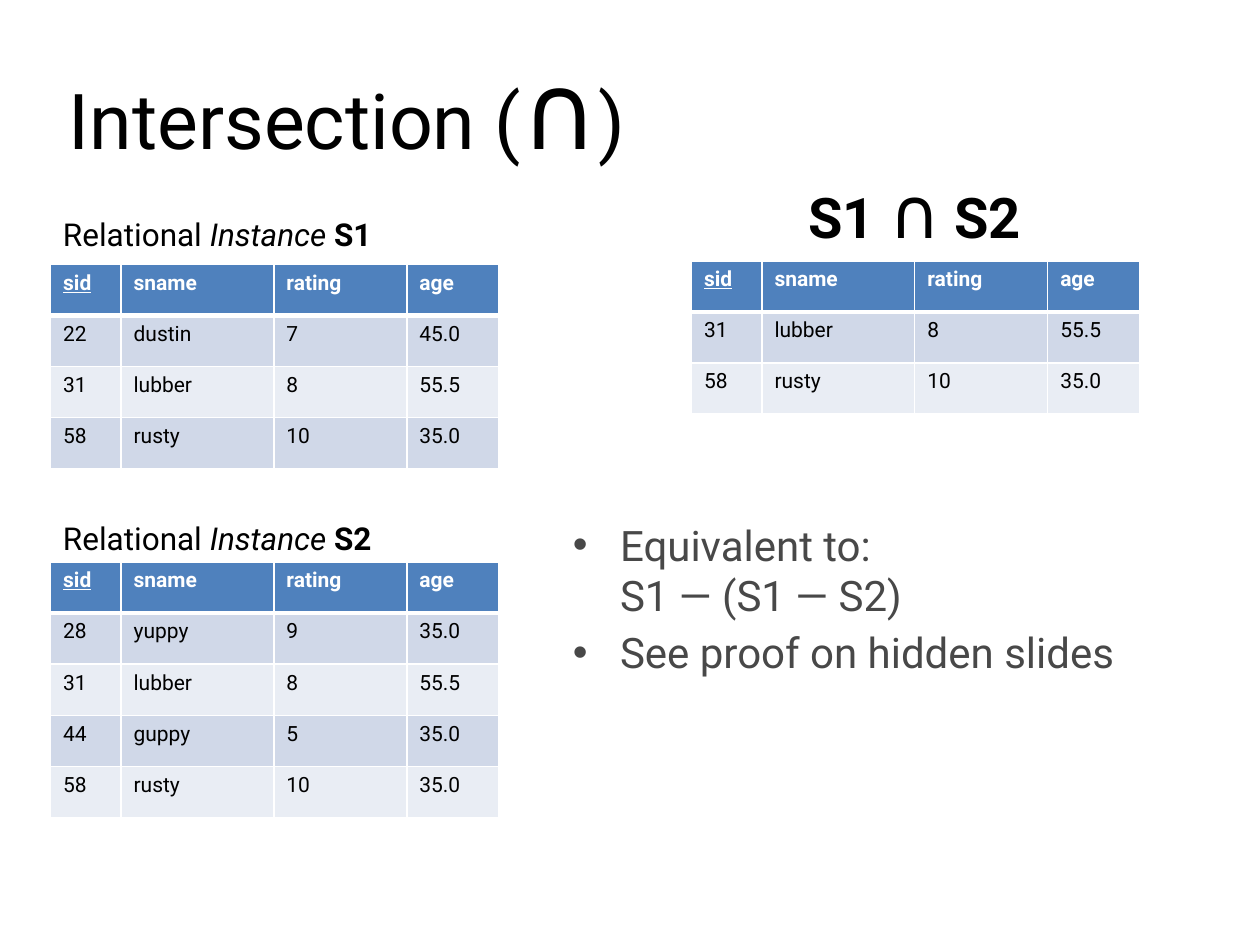
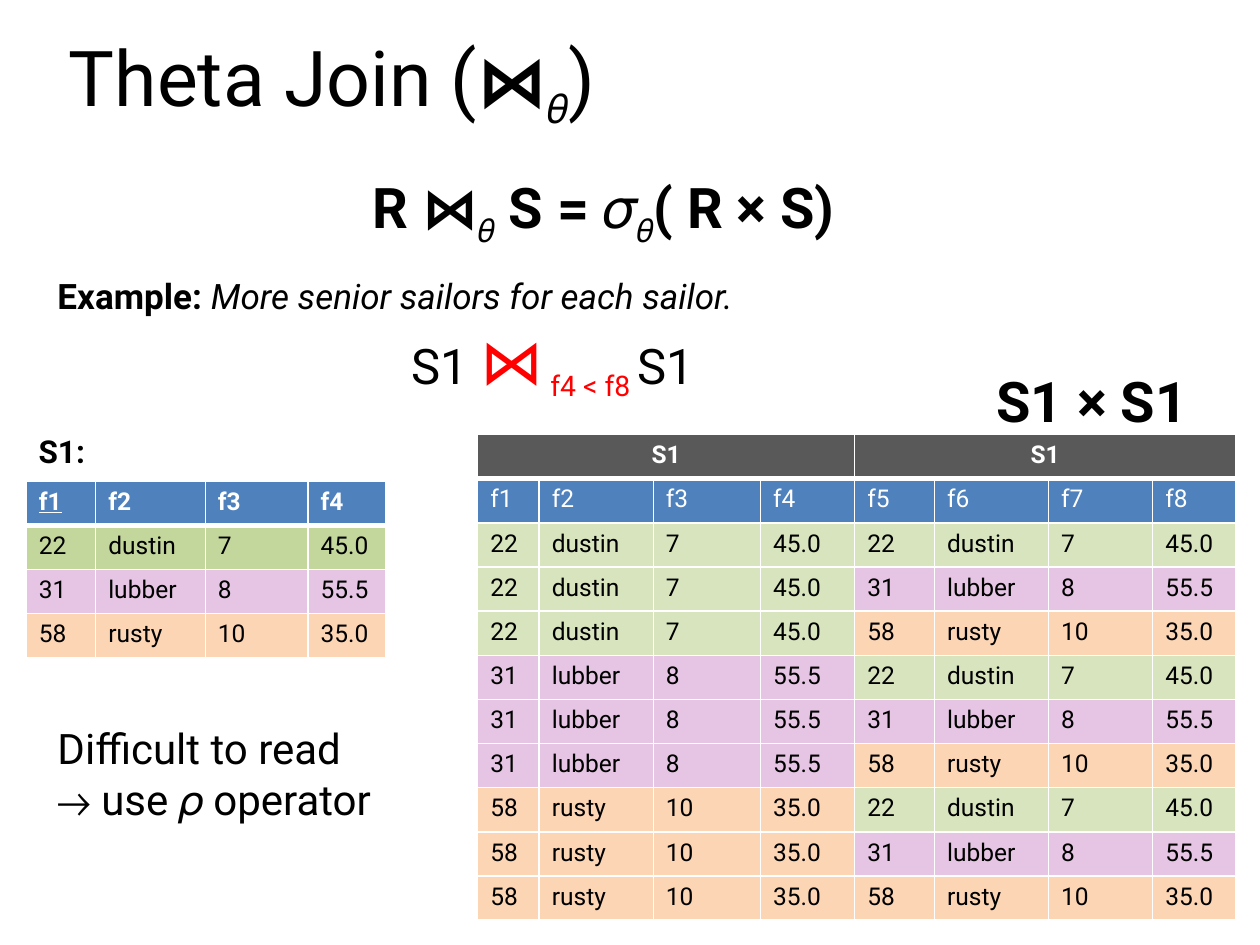
from itertools import product

from lxml import etree
from pptx import Presentation
from pptx.dml.color import RGBColor
from pptx.enum import text
from pptx.oxml import ns
from pptx.util import Cm, Pt

BLACK = RGBColor(0x00, 0x00, 0x00)
WHITE = RGBColor(0xFF, 0xFF, 0xFF)
RED = RGBColor(0xFF, 0x00, 0x00)
BODY_GREY = RGBColor(0x48, 0x48, 0x48)
GROUP_GREY = RGBColor(0x59, 0x59, 0x59)
HEADER_BLUE = RGBColor(0x4F, 0x81, 0xBD)
BANDS = [RGBColor(0xD0, 0xD8, 0xE8), RGBColor(0xE9, 0xED, 0xF4)]
GREEN = RGBColor(0xC3, 0xD6, 0x9B)
LIGHT_GREEN = RGBColor(0xD7, 0xE4, 0xBD)
PURPLE = RGBColor(0xE5, 0xC5, 0xE3)
ORANGE = RGBColor(0xFC, 0xD5, 0xB5)
FONT = "Roboto"

# Relations
FIELDS = ["sid", "sname", "rating", "age"]
DUSTIN = ["22", "dustin", "7", "45.0"]
LUBBER = ["31", "lubber", "8", "55.5"]
RUSTY = ["58", "rusty", "10", "35.0"]
YUPPY = ["28", "yuppy", "9", "35.0"]
GUPPY = ["44", "guppy", "5", "35.0"]
S1 = [DUSTIN, LUBBER, RUSTY]
S2 = [YUPPY, LUBBER, GUPPY, RUSTY]
S1_AND_S2 = [row for row in S1 if row in S2]

# Column widths in cm
RELATION_COLUMNS = [1.42, 3.08, 2.68, 1.86]
SAILOR_COLUMNS = [1.4, 2.21, 2.07, 1.57]
PRODUCT_COLUMNS = [1.24, 2.3, 2.16, 1.9, 1.61, 2.3, 2.1, 1.67]

# Run formats
BOLD = {"bold": True}
ITALIC = {"italic": True}
SUB = {"baseline": -25}
KEY = {"bold": True, "underline": True}
TITLE = {"size": 44}
CAPTION = {"size": 18}
FORMULA = {"size": 32, "bold": True}

# Each slide: title (box, runs), relation tables, text boxes.
# A text box is (box in cm, wraps, base format, runs).
INTERSECTION_TITLE = ((1.14, 0.13, 13.23, 4.09),
                      [("Intersection (", {}), ("∩", {"size": 60}), (")", {})])
RELATION_TABLES = [((1.02, 11.33), S2), ((1.02, 5.33), S1),
                   ((13.94, 5.26), S1_AND_S2)]
INSTANCE_CAPTIONS = [(10.34, "S2"), (4.22, "S1")]
INTERSECTION_FORMULA = (
    (16.05, 3.28, 4.95, 1.96), False, FORMULA,
    [("S1 ", {}), ("∩", {"size": 40, "bold": False}),
     (" ", {"bold": False}), ("S2", {})])
NOTES_BOX = (11.3, 10.34, 13.46, 3.53)
NOTES = ["Equivalent to:\nS1 — (S1 — S2)", "See proof on hidden slides"]

JOIN_SIGN = {"size": 40, "bold": True}
JOIN_TITLE = ((1.14, 0.03, 21.59, 3.18),
              [("Theta Join (", {}), ("⋈", JOIN_SIGN),
               ("𝜃", JOIN_SIGN | SUB), (")", {})])
JOIN_TEXTS = [
    ((7.26, 3.35, 10.52, 1.63), False, FORMULA,
     [("R ⋈", {}), ("𝜃", SUB), (" S = 𝜎", {}), ("𝜃", SUB), ("( R × S)", {})]),
    ((0.91, 5.41, 14.73, 1.12), False, {"size": 20},
     [("Example: ", BOLD), ("More senior sailors for each sailor.", ITALIC)]),
    ((8.05, 6.35, 6.27, 1.8), True, {"size": 28},
     [("S1 ", {}), ("⋈", {"size": 36, "color": RED}),
      (" f4 < f8 ", {"color": RED} | SUB), ("S1", {})]),
    ((0.53, 8.59, 1.5, 1.02), False, CAPTION, [("S1:", BOLD)]),
    ((19.84, 7.26, 5.08, 1.63), False, FORMULA, [("S1 × S1", {})]),
    ((0.91, 14.45, 7.65, 2.31), True, {"size": 24},
     [("Difficult to read\n→ use 𝜌 operator", {})]),
]


def add_run(paragraph, content, style):
    run = paragraph.add_run()
    run.text = content
    for name, value in ({"name": FONT, "color": BLACK} | style).items():
        if name == "color":
            run.font.color.rgb = value
        elif name == "baseline":
            run._r.get_or_add_rPr().set("baseline", str(value * 1000))
        else:
            setattr(run.font, name, Pt(value) if name == "size" else value)


def write_runs(paragraph, runs, base):
    """Write (text, format) runs, with a line break at each newline."""
    for content, style in runs:
        for number, line in enumerate(content.split("\n")):
            if number:
                paragraph.add_line_break()
            add_run(paragraph, line, base | style)


def add_text(slide, box, wraps, base, runs):
    shape = slide.shapes.add_textbox(*map(Cm, box))
    frame = shape.text_frame
    frame.word_wrap = wraps
    frame.auto_size = text.MSO_AUTO_SIZE.SHAPE_TO_FIT_TEXT
    write_runs(frame.paragraphs[0], runs, base)
    return frame


def add_title(slide, box, runs):
    frame = add_text(slide, box, True, TITLE, runs)
    frame.auto_size = text.MSO_AUTO_SIZE.NONE
    frame.vertical_anchor = text.MSO_ANCHOR.MIDDLE


def add_bullets(slide, box, items, base):
    frame = add_text(slide, box, True, base, [(items[0], {})])
    for item in items[1:]:
        paragraph = frame.add_paragraph()
        paragraph.space_before = Pt(4)
        write_runs(paragraph, [(item, {})], base)
    for paragraph in frame.paragraphs:
        properties = paragraph._p.get_or_add_pPr()
        properties.set("marL", str(Cm(0.95)))
        properties.set("indent", str(Cm(-0.95)))
        for tag, name, value in [("a:buFont", "typeface", "Arial"),
                                 ("a:buChar", "char", "•")]:
            etree.SubElement(properties, ns.qn(tag)).set(name, value)


def set_borders(cell, top, bottom):
    """Draw white cell borders; the side ones are 1 pt wide."""
    properties = cell._tc.get_or_add_tcPr()
    for side, width in [("L", 1), ("R", 1), ("T", top), ("B", bottom)]:
        line = etree.SubElement(properties, ns.qn(f"a:ln{side}"), w=str(Pt(width)))
        fill = etree.SubElement(line, ns.qn("a:solidFill"))
        etree.SubElement(fill, ns.qn("a:srgbClr"), val=str(WHITE))


def add_grid(slide, corner, columns, row_height, size, rows):
    """Add a table whose rows are lists of (text, fill, format) cells."""
    table = slide.shapes.add_table(
        len(rows), len(columns), *map(Cm, corner),
        Cm(sum(columns)), Cm(row_height * len(rows))).table
    table.horz_banding = False
    for column, width in zip(table.columns, columns):
        column.width = Cm(width)
    for r, cells in enumerate(rows):
        table.rows[r].height = Cm(row_height)
        for c, (content, color, style) in enumerate(cells):
            cell = table.cell(r, c)
            set_borders(cell, 3 if r == 1 else 1, 3 if r == 0 else 1)
            cell.fill.solid()
            cell.fill.fore_color.rgb = color
            if content:
                write_runs(cell.text_frame.paragraphs[0], [(content, style)],
                           {"size": size, "bold": False})
    return table


def header(names, style=BOLD, first=BOLD):
    return [(name, HEADER_BLUE, {"color": WHITE} | (style if c else first))
            for c, name in enumerate(names)]


def record(values, color):
    return [(value, color, {}) for value in values]


def build_intersection(slide):
    add_title(slide, *INTERSECTION_TITLE)
    for corner, relation in RELATION_TABLES:
        rows = [record(values, BANDS[r % 2]) for r, values in enumerate(relation)]
        add_grid(slide, corner, RELATION_COLUMNS, 1.03, 12,
                 [header(FIELDS, first=KEY)] + rows)
    for top, name in INSTANCE_CAPTIONS:
        add_text(slide, (1.02, top, 6.93, 1.02), False, CAPTION,
                 [("Relational ", {}), ("Instance ", ITALIC), (name, BOLD)])
    add_bullets(slide, NOTES_BOX, NOTES, {"size": 24, "color": BODY_GREY})
    add_text(slide, *INTERSECTION_FORMULA)


def build_theta_join(slide):
    add_title(slide, *JOIN_TITLE)
    fields = [f"f{number}" for number in range(1, 9)]
    sailors = [record(*pair) for pair in zip(S1, [GREEN, PURPLE, ORANGE])]
    add_grid(slide, (0.53, 9.7), SAILOR_COLUMNS, 0.89, 14,
             [header(fields[:4], first=KEY)] + sailors)

    light = [record(*pair) for pair in zip(S1, [LIGHT_GREEN, PURPLE, ORANGE])]
    pairs = [left + right for left, right in product(light, repeat=2)]
    group = [("S1", GROUP_GREY, {"color": WHITE, "bold": True})]
    group += [("", GROUP_GREY, {})] * 3
    table = add_grid(slide, (9.63, 8.76), PRODUCT_COLUMNS, 0.89, 14,
                     [group * 2, header(fields, {}, {})] + pairs)
    for first in (0, 4):
        cell = table.cell(0, first)
        cell.merge(table.cell(0, first + 3))
        cell.text_frame.paragraphs[0].alignment = text.PP_ALIGN.CENTER
    for item in JOIN_TEXTS:
        add_text(slide, *item)


def main():
    presentation = Presentation()
    presentation.slide_width, presentation.slide_height = Cm(25.4), Cm(19.05)
    for build in (build_intersection, build_theta_join):
        build(presentation.slides.add_slide(presentation.slide_layouts[6]))
    presentation.save("out.pptx")


if __name__ == "__main__":
    main()
